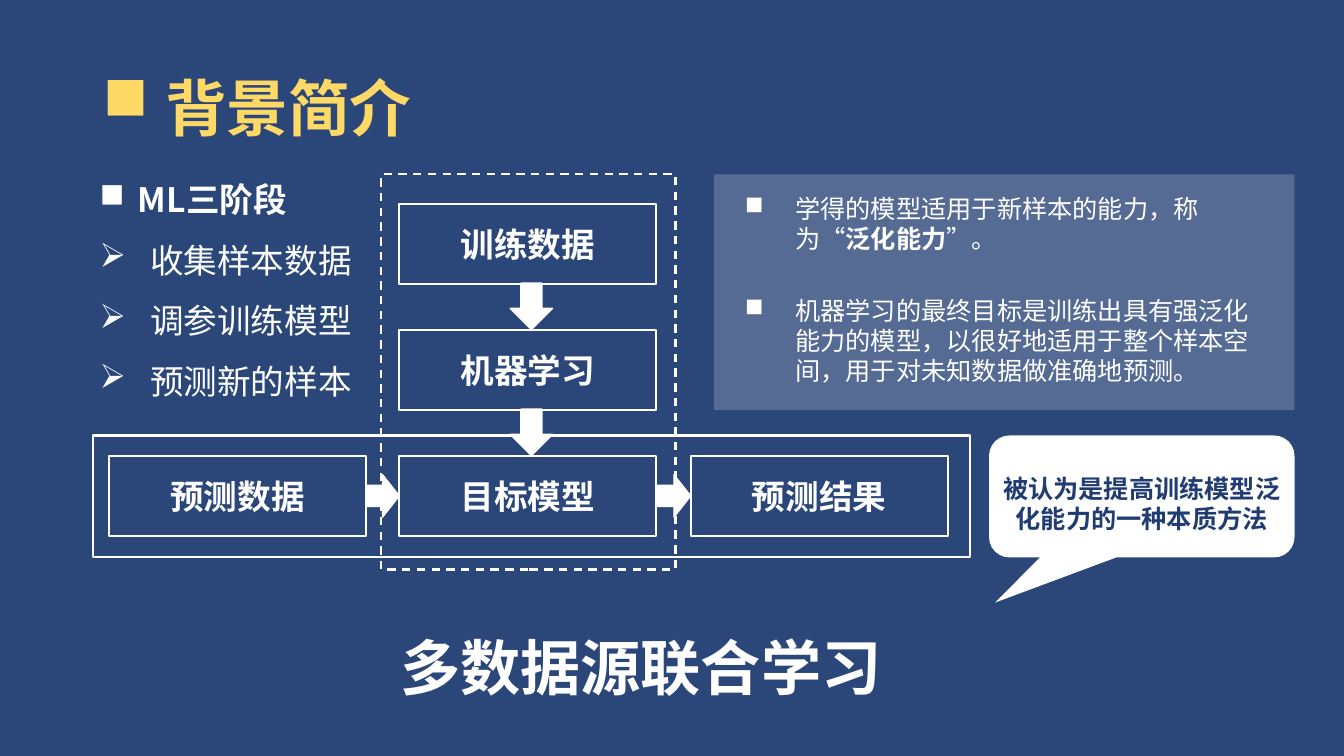
from lxml.etree import SubElement
from pptx import Presentation
from pptx.dml.color import RGBColor
from pptx.enum.dml import MSO_LINE
from pptx.enum.shapes import MSO_SHAPE
from pptx.enum.text import MSO_ANCHOR, PP_ALIGN
from pptx.oxml.ns import qn
from pptx.util import Inches, Pt

FONT = "Noto Sans CJK SC"
COLORS = {"navy": "2B477A", "white": "FFFFFF", "gold": "FFD966", "ink": "213C72"}
SQUARE, ARROWHEAD = "■", "➢"


def rgb(name):
    return RGBColor.from_string(COLORS[name])


def add_block(slide, preset, left, top, width, height, fill=None, line=None,
              dashed=False, alpha=None):
    block = slide.shapes.add_shape(
        preset, Inches(left), Inches(top), Inches(width), Inches(height))
    block.shadow.inherit = False
    if fill:
        block.fill.solid()
        block.fill.fore_color.rgb = rgb(fill)
        if alpha:
            color = block.fill._xPr.find(qn("a:solidFill"))[0]
            SubElement(color, qn("a:alpha"), val=str(alpha * 1000))
    else:
        block.fill.background()
    if line:
        block.line.color.rgb = rgb("white")
        block.line.width = Pt(line)
        if dashed:
            block.line.dash_style = MSO_LINE.DASH
    else:
        block.line.fill.background()
    return block


def add_textbox(slide, left, top, width, height, anchor=MSO_ANCHOR.TOP):
    textbox = slide.shapes.add_textbox(
        Inches(left), Inches(top), Inches(width), Inches(height))
    frame = textbox.text_frame
    frame.word_wrap = True
    frame.vertical_anchor = anchor
    return frame


def style_runs(paragraph, size, color="white", bold=False):
    for run in paragraph.runs:
        run.font.size = Pt(size)
        run.font.name = FONT
        run.font.bold = bold
        run.font.color.rgb = rgb(color)
        SubElement(run.font._element, qn("a:ea"), typeface=FONT)


def set_bullet(paragraph, symbol, indent, hanging):
    properties = paragraph._p.get_or_add_pPr()
    properties.set("marL", str(Inches(indent)))
    properties.set("indent", str(-Inches(hanging)))
    SubElement(properties, qn("a:buFont"), typeface="OpenSymbol")
    SubElement(properties, qn("a:buChar"), char=symbol)


def add_heading(slide, text, left, top, width, height, size, color):
    frame = add_textbox(slide, left, top, width, height, MSO_ANCHOR.MIDDLE)
    frame.text = text
    heading = frame.paragraphs[0]
    style_runs(heading, size, color, True)
    return heading


def add_stages(slide):
    frame = add_textbox(slide, 0.39, 1.53, 3.58, 2.6)
    stages = ["ML三阶段", "收集样本数据", "调参训练模型", "预测新的样本"]
    frame.text = "\n".join(stages)
    for index, stage in enumerate(frame.paragraphs):
        if index == 0:
            set_bullet(stage, SQUARE, 0.88, 0.38)
        else:
            set_bullet(stage, ARROWHEAD, 1, 0.5)
        stage.line_spacing = Pt(43.2)
        style_runs(stage, 24, bold=index == 0)


def add_step(slide, label, left, top):
    step = add_block(slide, MSO_SHAPE.RECTANGLE, left, top, 2.55, 0.8, line=1.5)
    step.text_frame.text = label
    step.text_frame.vertical_anchor = MSO_ANCHOR.MIDDLE
    name = step.text_frame.paragraphs[0]
    name.alignment = PP_ALIGN.CENTER
    style_runs(name, 24, bold=True)


def add_flow(slide):
    add_block(slide, MSO_SHAPE.RECTANGLE, 3.78, 1.73, 2.92, 3.92, line=1.5, dashed=True)
    add_block(slide, MSO_SHAPE.RECTANGLE, 0.92, 4.32, 8.7, 1.21, line=1.5)
    for row, label in enumerate(["训练数据", "机器学习", "目标模型"]):
        add_step(slide, label, 3.96, 2.02 + 1.25 * row)
    add_step(slide, "预测数据", 1.08, 4.52)
    add_step(slide, "预测结果", 6.85, 4.52)
    for left in (3.63, 6.52):
        add_block(slide, MSO_SHAPE.RIGHT_ARROW, left, 4.71, 0.33, 0.42, "white", 1)
    for top in (2.83, 4.08):
        arrow = add_block(slide, MSO_SHAPE.RIGHT_ARROW, 5.04, top, 0.46, 0.42, "white", 1)
        arrow.rotation = 90


def add_generalization(slide):
    add_block(slide, MSO_SHAPE.RECTANGLE, 7.08, 1.73, 5.76, 2.34, "white", alpha=20)
    frame = add_textbox(slide, 7.29, 1.87, 5.35, 2.1)
    ability = frame.paragraphs[0]
    goal = frame.add_paragraph()
    for text in ("学得的模型适用于新样本的能力，称为“", "泛化能力", "”。"):
        ability.add_run().text = text
    goal.text = ("机器学习的最终目标是训练出具有强泛化能力的模型，"
                 "以很好地适用于整个样本空间，用于对未知数据做准确地预测。")
    for point in (ability, goal):
        set_bullet(point, SQUARE, 0.5, 0.5)
        point.line_spacing = Pt(21.5)
        style_runs(point, 18)
    goal.space_before = Pt(30)
    ability.runs[1].font.bold = True


def add_callout(slide):
    callout = add_block(slide, MSO_SHAPE.ROUNDED_RECTANGULAR_CALLOUT,
                        9.81, 4.32, 3.03, 1.21, "white")
    callout.adjustments[0] = -0.48
    callout.adjustments[1] = 0.87
    frame = callout.text_frame
    frame.word_wrap = True
    frame.vertical_anchor = MSO_ANCHOR.MIDDLE
    frame.margin_left = frame.margin_right = Inches(0.03)
    frame.margin_top, frame.margin_bottom = Inches(0.14), Inches(0)
    frame.text = "被认为是提高训练模型泛化能力的一种本质方法"
    remark = frame.paragraphs[0]
    remark.alignment = PP_ALIGN.CENTER
    remark.line_spacing = Pt(21.5)
    style_runs(remark, 18, "ink", True)


def main():
    deck = Presentation()
    deck.slide_width, deck.slide_height = Inches(13.33), Inches(7.5)
    slide = deck.slides.add_slide(deck.slide_layouts[6])
    slide.background.fill.solid()
    slide.background.fill.fore_color.rgb = rgb("navy")
    title = add_heading(slide, "背景简介", 0.92, 0.33, 9.93, 1.45, 44, "gold")
    set_bullet(title, SQUARE, 0.62, 0.62)
    add_stages(slide)
    add_flow(slide)
    add_heading(slide, "多数据源联合学习", 3.87, 6.11, 5.63, 1, 43, "white")
    add_generalization(slide)
    add_callout(slide)
    deck.save("out.pptx")


if __name__ == "__main__":
    main()
